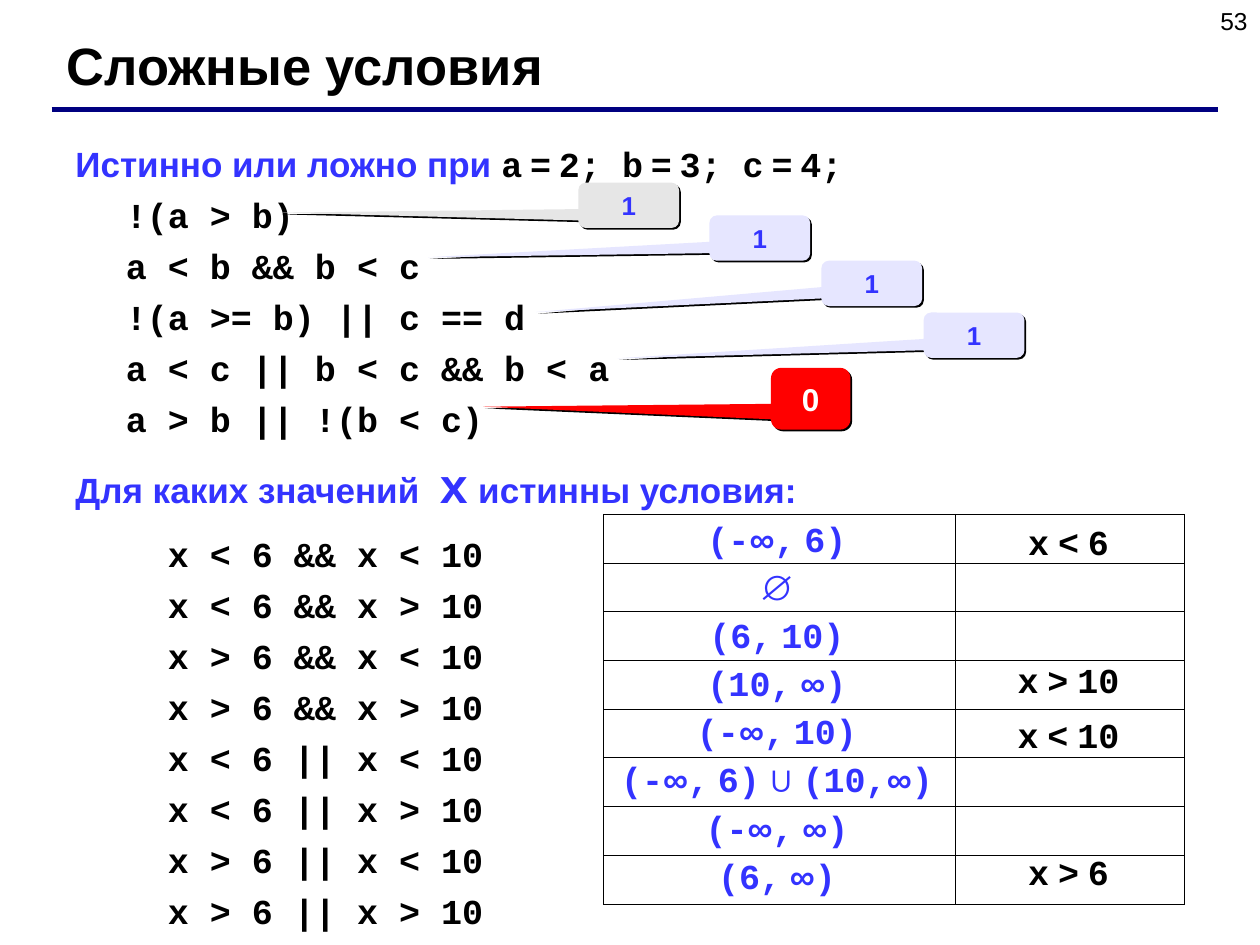
"""Builds the slide about compound conditions."""
import dataclasses
import itertools
import typing

import pptx
import pptx.dml.color
import pptx.enum.shapes
import pptx.enum.text
import pptx.oxml
import pptx.oxml.ns
import pptx.util

Pt = pptx.util.Pt
ALIGN = pptx.enum.text.PP_ALIGN
BLACK, BLUE, WHITE, NAVY = "000000", "3333FF", "FFFFFF", "000080"
LILAC, GREY, RED = "E6E6FF", "E6E6E6", "FF0000"
SANS, MONO = "Arial", "Courier New"


@dataclasses.dataclass
class Style:
    size: float = 20
    font: str = MONO
    color: str = BLACK
    bold: bool = True


class Span(typing.NamedTuple):
    text: str
    style: typing.Optional[Style] = None


@dataclasses.dataclass
class Line:
    spans: typing.List[Span]
    style: Style
    before: float = 0
    left: float = 0
    hanging: float = 0
    align: typing.Any = ALIGN.LEFT


class Callout(typing.NamedTuple):
    left: float
    top: float
    tip_x: float
    tip_y: float
    fill: str = LILAC
    text: str = "1"
    width: float = 57.6
    height: float = 25.9
    size: float = 14.8
    color: str = BLUE


class Answer(typing.NamedTuple):
    text: str
    top: float
    center: float
    width: float
    color: str


def rgb(color: str) -> pptx.dml.color.RGBColor:
    return pptx.dml.color.RGBColor.from_string(color)


def apply_font(font, style: Style) -> None:
    font.size, font.name, font.bold = Pt(style.size), style.font, style.bold
    font.color.rgb = rgb(style.color)


def fill_paragraph(paragraph, line: Line) -> None:
    paragraph.alignment = line.align
    if line.before:
        paragraph.space_before = Pt(line.before)
    if line.left:
        properties = paragraph._p.get_or_add_pPr()
        properties.set("marL", str(Pt(line.left)))
        properties.set("indent", str(Pt(-line.hanging)))
    apply_font(paragraph.font, line.style)
    for span in line.spans:
        run = paragraph.add_run()
        run.text = span.text
        if span.style and span.style != line.style:
            apply_font(run.font, span.style)


def add_text(slide, left: float, top: float, width: float, height: float,
             lines: typing.List[Line]) -> None:
    shape = slide.shapes.add_textbox(Pt(left), Pt(top), Pt(width), Pt(height))
    frame = shape.text_frame
    frame.word_wrap = True
    for index, line in enumerate(lines):
        fill_paragraph(frame.add_paragraph() if index else frame.paragraphs[0], line)


def formula(text: str, color: str = BLACK, space_size: float = 18) -> typing.List[Span]:
    def style_of(character: str) -> typing.Tuple[float, str]:
        if character == " ":
            return space_size, SANS
        return 20, SANS if character in "∞∪∅" else MONO

    return [Span("".join(characters), Style(size, font, color))
            for (size, font), characters in itertools.groupby(text, style_of)]


def code_lines(codes: typing.List[str], first_gap: float) -> typing.List[Line]:
    return [Line([Span(code)], Style(), 5.1 if index else first_gap, 49.7, 20.9)
            for index, code in enumerate(codes)]


def add_callout(slide, callout: Callout) -> None:
    shape = slide.shapes.add_shape(
        pptx.enum.shapes.MSO_SHAPE.ROUNDED_RECTANGULAR_CALLOUT,
        Pt(callout.left), Pt(callout.top), Pt(callout.width), Pt(callout.height))
    shape.adjustments[0], shape.adjustments[1] = callout.tip_x, callout.tip_y
    shape.adjustments[2] = 0.167
    shape.fill.solid()
    shape.fill.fore_color.rgb = rgb(callout.fill)
    shape.line.fill.background()
    shape.shadow.inherit = False
    effects = shape._element.spPr.find(pptx.oxml.ns.qn("a:effectLst"))
    effects.append(pptx.oxml.parse_xml(
        f'<a:outerShdw {pptx.oxml.ns.nsdecls("a")} blurRad="0" dist="{Pt(1.4)}" '
        f'dir="2700000" algn="ctr" rotWithShape="0"><a:srgbClr val="{BLACK}"/></a:outerShdw>'))
    shape.text_frame.vertical_anchor = pptx.enum.text.MSO_ANCHOR.MIDDLE
    style = Style(callout.size, SANS, callout.color)
    fill_paragraph(shape.text_frame.paragraphs[0],
                   Line([Span(callout.text)], style, align=ALIGN.CENTER))


def add_grid(slide, left: float, top: float, widths: typing.Sequence[float],
             rows: int, row_height: float) -> None:
    table = slide.shapes.add_table(rows, len(widths), Pt(left), Pt(top), Pt(sum(widths)),
                                   Pt(rows * row_height)).table
    table.first_row = table.horz_banding = False
    for column, width in zip(table.columns, widths):
        column.width = Pt(width)
    for row in table.rows:
        row.height = Pt(row_height)
    for cell in table.iter_cells():
        cell.margin_top = cell.margin_bottom = 0
        properties = cell._tc.get_or_add_tcPr()
        for side in ("lnL", "lnR", "lnT", "lnB"):
            properties.append(pptx.oxml.parse_xml(
                f'<a:{side} {pptx.oxml.ns.nsdecls("a")} w="{Pt(0.45)}"><a:solidFill>'
                f'<a:srgbClr val="{BLACK}"/></a:solidFill></a:{side}>'))
        cell.fill.background()


def add_rule(slide, left: float, right: float, top: float) -> None:
    line = slide.shapes.add_connector(pptx.enum.shapes.MSO_CONNECTOR.STRAIGHT,
                                      Pt(left), Pt(top), Pt(right), Pt(top))
    line.line.color.rgb = rgb(NAVY)
    line.line.width = Pt(3)
    line._element.spPr.append(
        pptx.oxml.parse_xml(f'<a:effectLst {pptx.oxml.ns.nsdecls("a")}/>'))


def add_answer(slide, answer: Answer) -> None:
    line = Line(formula(answer.text, answer.color), Style(color=answer.color),
                align=ALIGN.CENTER)
    add_text(slide, answer.center - answer.width / 2, answer.top, answer.width, 31.7, [line])


def main() -> None:
    presentation = pptx.Presentation()
    presentation.slide_width, presentation.slide_height = Pt(720), Pt(540)
    slide = presentation.slides.add_slide(presentation.slide_layouts[6])

    add_text(slide, 552, 0, 168, 37.4,
             [Line([Span("53")], Style(14, SANS, bold=False), align=ALIGN.RIGHT)])
    heading = Style(20, SANS, BLUE)
    first = [Span("Истинно или ложно при ")]
    for index, assignment in enumerate(["a = 2;", "b = 3;", "c = 4;"]):
        first += [Span(" ", Style())] if index else []
        first += formula(assignment, space_size=16)
    second = [Span("Для каких значений  "), Span("x", Style(28, MONO, BLUE)),
              Span(" истинны условия:")]
    logic = ["!(a > b)", "a < b && b < c", "!(a >= b) || c == d",
             "a < c || b < c && b < a", "a > b || !(b < c)"]
    ranges = [f"  x {left} 6 {operator} x {right} 10" for operator, left, right
              in itertools.product(("&&", "||"), "<>", "<>")]
    add_text(slide, 36, 77.8, 663, 438.5, [
        Line(first, heading, 0, 13.7, 13.7), *code_lines(logic, 5.1),
        Line(second, heading, 9, 13.7, 13.7), *code_lines(ranges, 11)])
    add_rule(slide, 29.5, 696.2, 62.6)
    add_text(slide, 31, 15.1, 640.8, 43.2,
             [Line([Span("Сложные условия")], Style(30, SANS))])

    add_grid(slide, 344.9, 293.8, (201.2, 131), 8, 27.85)
    intervals = ["(-∞, 6)", "∅", "(6, 10)", "(10, ∞)", "(-∞, 10)",
                 "(-∞, 6) ∪ (10,∞)", "(-∞, ∞)", "(6, ∞)"]
    for index, text in enumerate(intervals):
        width = 203 if "∪" in text else 152
        add_answer(slide, Answer(text, 292.3 + index * 27.46, 444, width, BLUE))
    for text, top in (("x < 6", 293.8), ("x > 10", 373), ("x < 10", 403.9), ("x > 6", 482.4)):
        add_answer(slide, Answer(text, top, 610.6, 119.5, BLACK))

    for callout in (
            Callout(469.4, 149, -3.328, 0.633),
            Callout(527.8, 178.6, -3.535, 0.51),
            Callout(440.6, 210.2, -4.123, 0.129, RED, "0", 45.4, 35.3, 18, WHITE),
            Callout(330.5, 104.4, -3.459, 0.162, GREY),
            Callout(405.4, 123.1, -3.291, 0.424)):
        add_callout(slide, callout)
    presentation.save("out.pptx")


if __name__ == "__main__":
    main()
